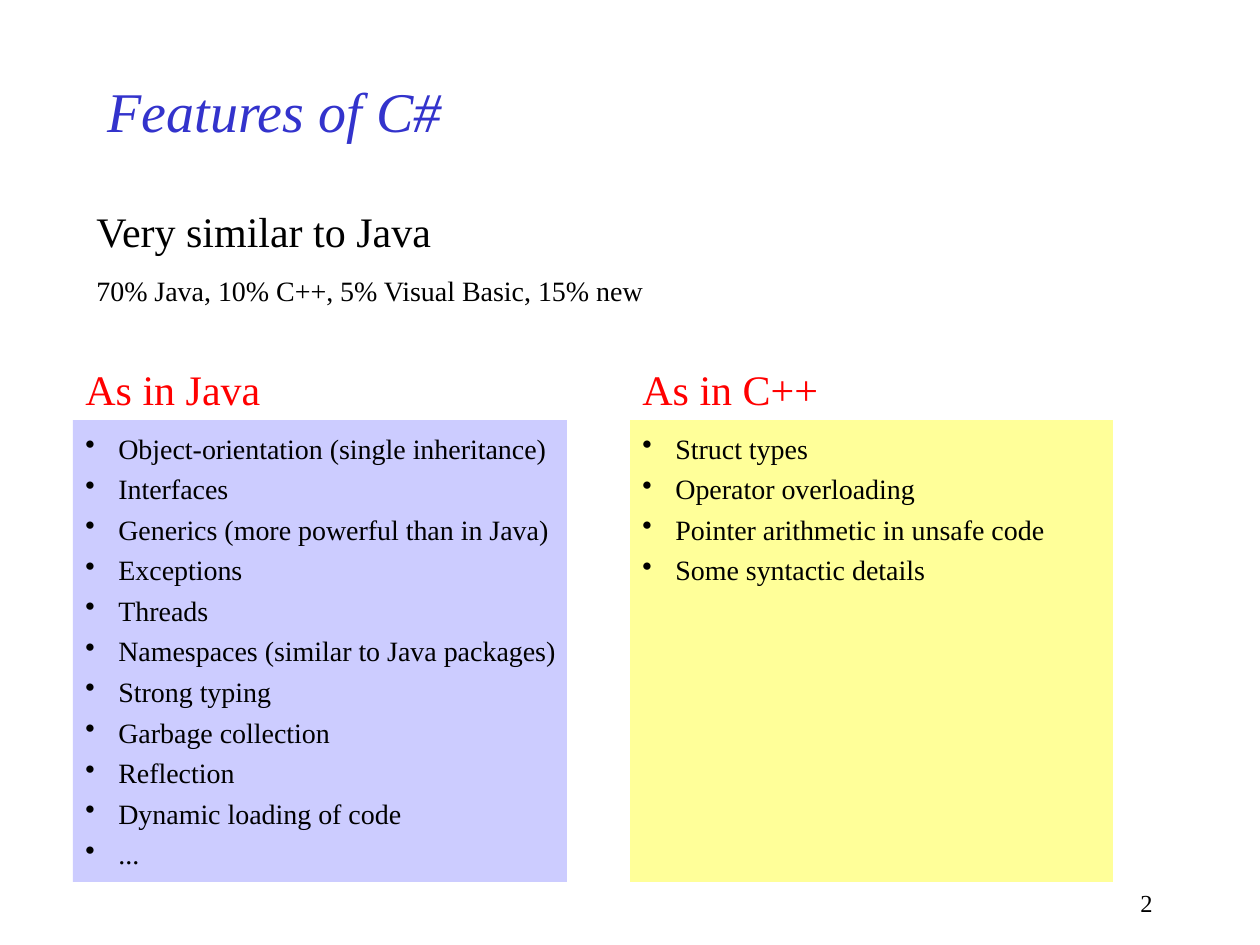
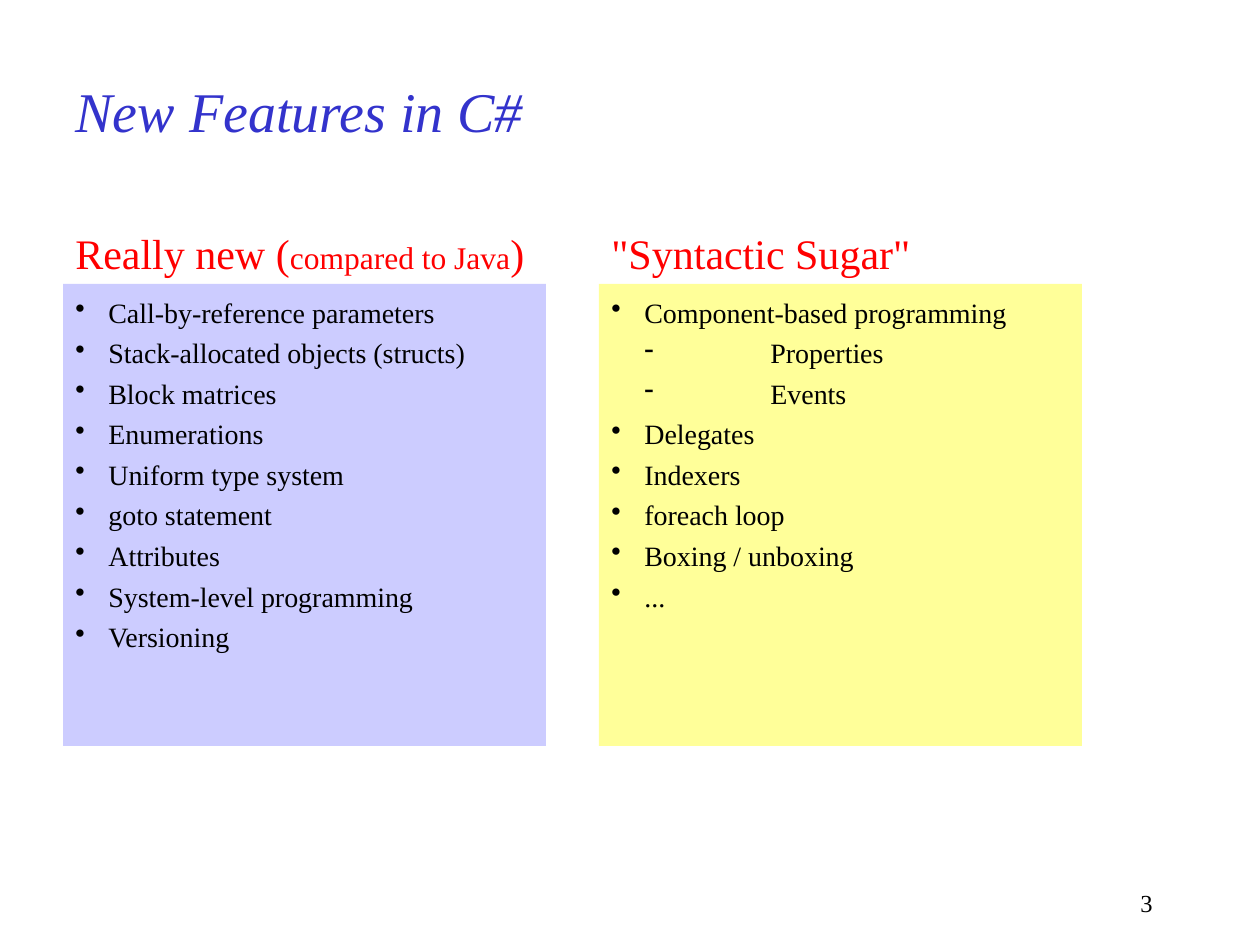
from pptx import Presentation
from pptx.dml.color import RGBColor
from pptx.enum.shapes import MSO_SHAPE
from pptx.enum.text import MSO_ANCHOR, MSO_AUTO_SIZE, PP_ALIGN
from pptx.oxml.ns import qn
from pptx.util import Pt
from lxml import etree

RECTANGLE = MSO_SHAPE.RECTANGLE
MIDDLE = MSO_ANCHOR.MIDDLE
NO_AUTOFIT = MSO_AUTO_SIZE.NONE
LEFT, RIGHT = PP_ALIGN.LEFT, PP_ALIGN.RIGHT

EMU_PER_PX = 914400 / 126
FONT = "Times New Roman"
COLORS = {
    "title": "3333CC",
    "heading": "FF0000",
    "text": "000000",
    "lavender": "CCCCFF",
    "yellow": "FFFF99",
}
TITLE_ONLY = 5
HEADING_SIZE, BODY_SIZE = 24, 16
LINE_FACTOR = 1.2
HEADING_RISE = 63
PANEL_HEIGHT = 462
BULLET_INDENT, DASH_INDENT = 33, 126

JAVA_FEATURES = [
    "Object-orientation (single inheritance)", "Interfaces",
    "Generics (more powerful than in Java)", "Exceptions", "Threads",
    "Namespaces (similar to Java packages)", "Strong typing",
    "Garbage collection", "Reflection", "Dynamic loading of code", "...",
]
CPP_FEATURES = [
    "Struct types", "Operator overloading",
    "Pointer arithmetic in unsafe code", "Some syntactic details",
]
NEW_FEATURES = [
    "Call-by-reference parameters", "Stack-allocated objects (structs)",
    "Block matrices", "Enumerations", "Uniform type system",
    "goto statement", "Attributes", "System-level programming", "Versioning",
]
SUGAR_FEATURES = [
    "Component-based programming", ("-", "Properties"), ("-", "Events"),
    "Delegates", "Indexers", "foreach loop", "Boxing / unboxing", "...",
]


def px(length):
    return round(length * EMU_PER_PX)


def set_font(font, size, color):
    font.name = FONT
    font.size = Pt(size)
    font.color.rgb = RGBColor.from_string(COLORS[color])


def style_line(paragraph, size, color, space_before=0):
    paragraph.line_spacing = Pt(size * LINE_FACTOR)
    paragraph.space_before = Pt(space_before)
    set_font(paragraph.font, size, color)


def set_bullet(paragraph, mark):
    """Hang the text after the mark; dashes sit one level deeper."""
    hang = DASH_INDENT if mark == "-" else BULLET_INDENT
    margin = BULLET_INDENT + hang if mark == "-" else hang
    properties = paragraph._p.get_or_add_pPr()
    properties.set("marL", str(px(margin)))
    properties.set("indent", str(-px(hang)))
    etree.SubElement(properties, qn("a:buChar")).set("char", mark)


def add_text_frame(page, left, top, width, height):
    box = page.shapes.add_textbox(px(left), px(top), px(width), px(height))
    box.text_frame.word_wrap = True
    return box.text_frame


def add_panel(page, left, top, width, fill, heading, features, text_width=None):
    """Draw a coloured panel with a heading above it and a bullet list inside.

    The heading is a list of (text, size) spans.
    """
    panel = page.shapes.add_shape(
        RECTANGLE, px(left), px(top), px(width), px(PANEL_HEIGHT))
    panel.shadow.inherit = False
    panel.fill.solid()
    panel.fill.fore_color.rgb = RGBColor.from_string(COLORS[fill])
    panel.line.fill.background()

    frame = add_text_frame(page, left, top - HEADING_RISE, text_width or width,
                           PANEL_HEIGHT + HEADING_RISE)
    paragraph = frame.paragraphs[0]
    style_line(paragraph, HEADING_SIZE, "heading")
    for text, size in heading:
        span = paragraph.add_run()
        span.text = text
        set_font(span.font, size, "heading")

    for index, feature in enumerate(features):
        mark, text = feature if isinstance(feature, tuple) else ("•", feature)
        paragraph = frame.add_paragraph()
        paragraph.text = text
        set_bullet(paragraph, mark)
        style_line(paragraph, BODY_SIZE, "text", 4 if index else 10)


def add_summary(page, headline, detail):
    frame = add_text_frame(page, 84, 199, 882, 115)
    frame.text = headline
    style_line(frame.paragraphs[0], HEADING_SIZE, "text")
    paragraph = frame.add_paragraph()
    paragraph.text = detail
    style_line(paragraph, BODY_SIZE, "text", 10)


def add_page(deck, title, title_left, title_width, number):
    page = deck.slides.add_slide(deck.slide_layouts[TITLE_ONLY])
    holder = page.shapes.title
    holder.left, holder.top = px(title_left), px(63)
    holder.width, holder.height = px(title_width), px(95)
    frame = holder.text_frame
    frame.text = title
    frame.auto_size = NO_AUTOFIT
    frame.vertical_anchor = MIDDLE
    paragraph = frame.paragraphs[0]
    paragraph.alignment = LEFT
    set_font(paragraph.font, 32, "title")
    paragraph.font.italic = True

    footer = add_text_frame(page, 903, 882, 262, 42)
    footer.text = str(number)
    footer.paragraphs[0].alignment = RIGHT
    set_font(footer.paragraphs[0].font, 14, "text")
    return page


def main():
    deck = Presentation()
    deck.slide_width, deck.slide_height = px(1260), px(945)

    page = add_page(deck, "Features of C#", 95, 945, 2)
    add_summary(page, "Very similar to Java",
                "70% Java, 10% C++, 5% Visual Basic, 15% new")
    add_panel(page, 73, 420, 494, "lavender", [("As in Java", HEADING_SIZE)],
              JAVA_FEATURES, text_width=504)
    add_panel(page, 630, 420, 483, "yellow", [("As in C++", HEADING_SIZE)],
              CPP_FEATURES)

    page = add_page(deck, "New Features in C#", 63, 977, 3)
    add_panel(page, 63, 284, 483, "lavender",
              [("Really new (", HEADING_SIZE), ("compared to Java", 18),
               (")", HEADING_SIZE)], NEW_FEATURES)
    add_panel(page, 599, 284, 483, "yellow",
              [('"Syntactic Sugar"', HEADING_SIZE)], SUGAR_FEATURES)

    deck.save("out.pptx")


if __name__ == "__main__":
    main()
